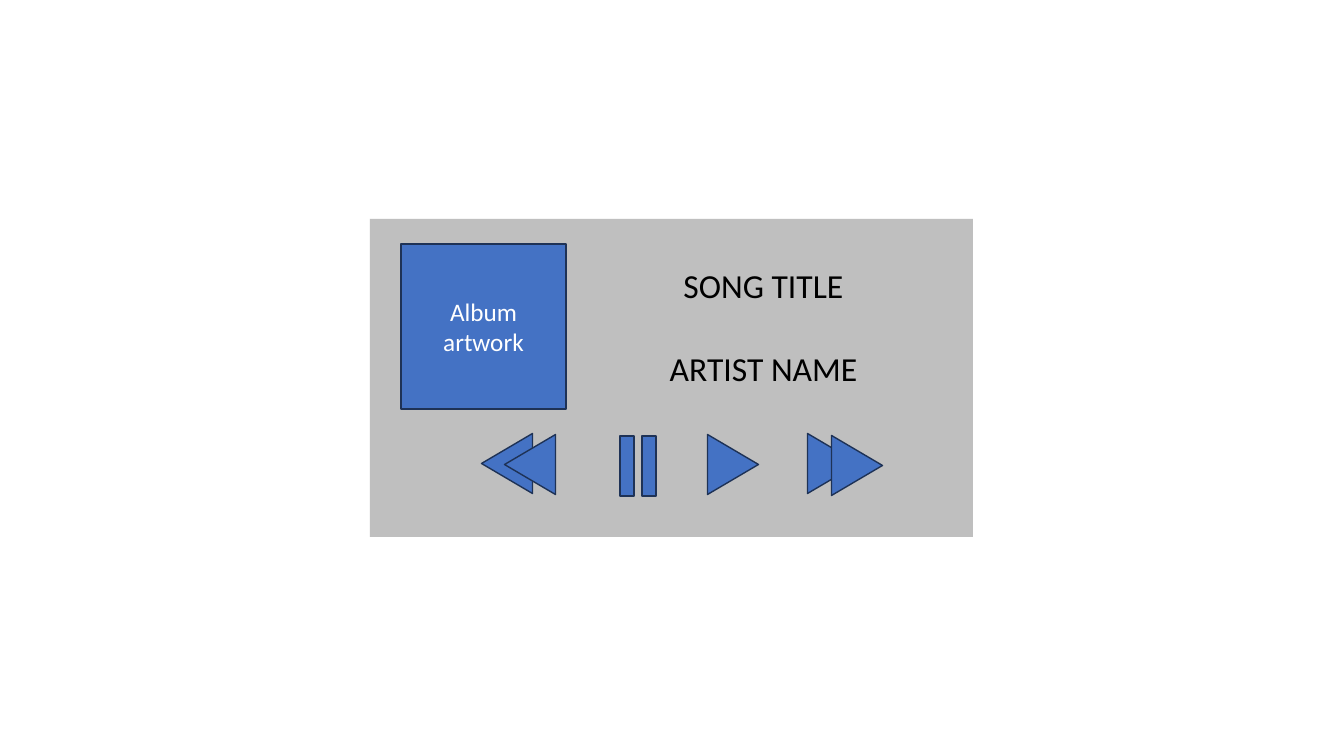
import pptx
import pptx.util
import pptx.dml.color
import pptx.enum.shapes
import pptx.enum.text

PX = 914400 / 100.8
HUES = {"panel": "BFBFBF", "blue": "4472C4", "edge": "1E3256",
        "dark": "000000", "light": "FFFFFF"}
KIND = pptx.enum.shapes.MSO_SHAPE
ALIGN = pptx.enum.text.PP_ALIGN.CENTER
MID = pptx.enum.text.MSO_ANCHOR.MIDDLE
FIT = pptx.enum.text.MSO_AUTO_SIZE.SHAPE_TO_FIT_TEXT


def emu(*nums):
    return [round(n * PX) for n in nums]


def hue(name):
    return pptx.dml.color.RGBColor.from_string(HUES[name])


def style(part, vals):
    for name, val in vals.items():
        setattr(part, name, val)


def draw(slide, kind, box, fill="blue", edge="edge", turn=0):
    shape = slide.shapes.add_shape(kind, *emu(*box))
    style(shape, {"rotation": turn})
    shape.shadow.inherit = False
    shape.fill.solid()
    shape.fill.fore_color.rgb = hue(fill)
    if edge:
        shape.line.color.rgb = hue(edge)
        shape.line.width = pptx.util.Pt(1)
    else:
        shape.line.fill.background()
    return shape


def write(shape, text, size, tint, **frame):
    style(shape.text_frame, {"word_wrap": True, **frame})
    para = shape.text_frame.paragraphs[0]
    para.alignment = ALIGN
    run = para.add_run()
    run.text = text
    style(run.font, {"name": "Calibri", "size": pptx.util.Pt(size)})
    run.font.color.rgb = hue(tint)


# Song and artist lines, one above the other
def titles(slide, box):
    left, top, wide, high = box
    for row, text in enumerate(["SONG TITLE", "ARTIST NAME"]):
        label = slide.shapes.add_textbox(
            *emu(left, top + row * 83, wide, high))
        write(label, text, 24, "dark", auto_size=FIT)


# Square for the album artwork
def album(slide, box):
    art = draw(slide, KIND.RECTANGLE, box)
    write(art, "Album artwork", 18, "light", vertical_anchor=MID)


# Play, forward, rewind and pause buttons
def buttons(slide, box):
    left, top, wide, high = box
    for x, y, turn in [(226, 3, 90), (326, 2, 90), (350, 4, 90),
                       (0, 2, 270), (23, 3, 270)]:
        draw(slide, KIND.ISOSCELES_TRIANGLE,
             (left + x, top + y, wide, high), turn=turn)
    for x in (165, 143):
        draw(slide, KIND.RECTANGLE, (left + x, top, 14, wide))


# The whole player on its grey panel
def player(slide, box):
    left, top = box[:2]
    draw(slide, KIND.RECTANGLE, box, "panel", None)
    titles(slide, (left + 219, top + 41, 349, 50))
    album(slide, (left + 31, top + 25, 165, 165))
    buttons(slide, (left + 107, top + 217, 60, 51))


def main():
    deck = pptx.Presentation()
    wide, high = emu(1344, 756)
    style(deck, {"slide_width": wide, "slide_height": high})
    slide = deck.slides.add_slide(deck.slide_layouts[6])
    player(slide, (370, 219, 603, 318))
    deck.save("out.pptx")


if __name__ == "__main__":
    main()
